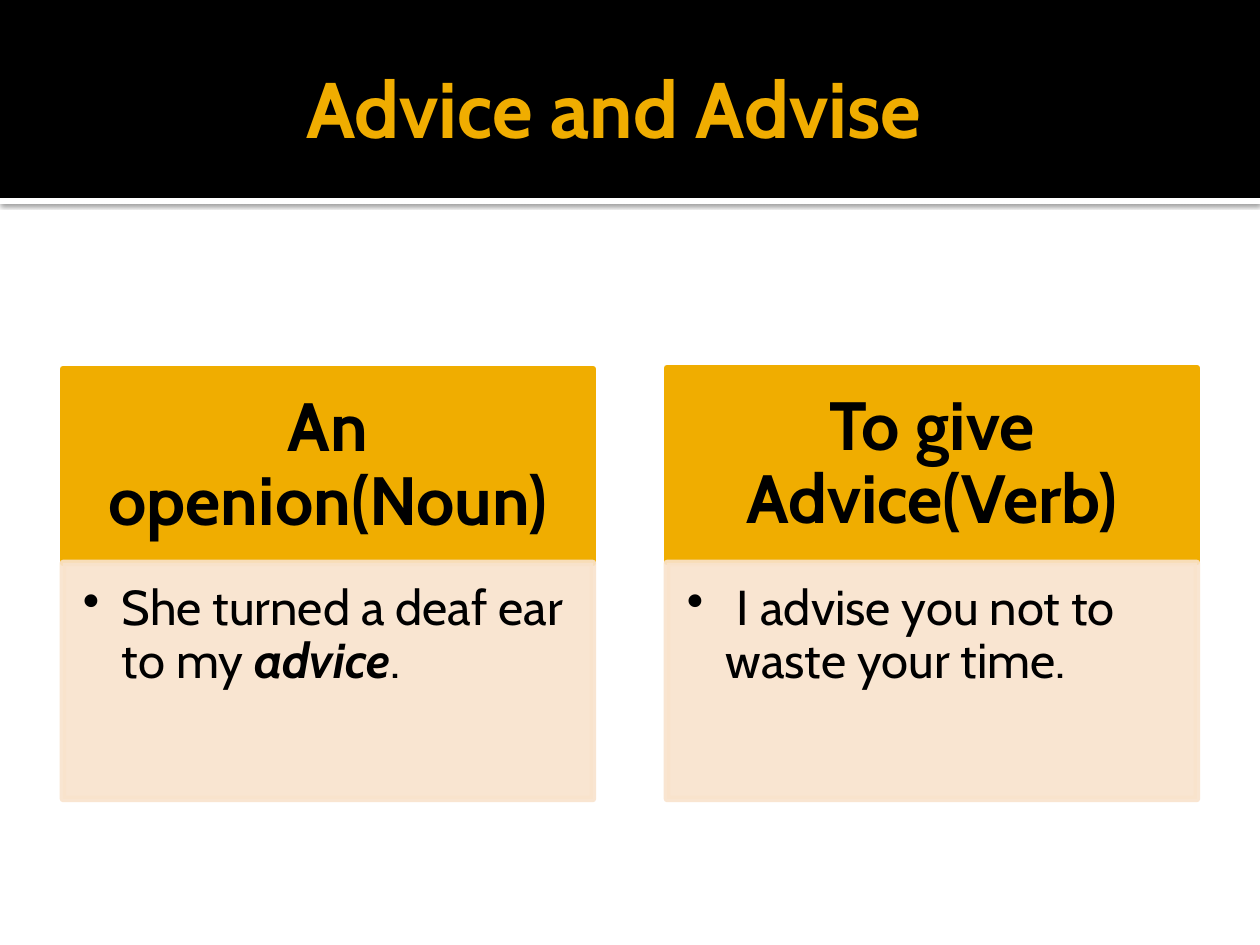
from lxml.etree import SubElement
from pptx import Presentation
from pptx.dml.color import RGBColor
from pptx.enum.shapes import MSO_SHAPE
from pptx.enum.text import MSO_ANCHOR, MSO_AUTO_SIZE, PP_ALIGN
from pptx.oxml.ns import qn
from pptx.util import Emu, Pt

COLORS = {"black": "000000", "white": "FFFFFF", "gold": "F0AD00", "cream": "F9E3CC"}
FONT = "Cabin"
TITLE = "Advice and Advise"
CARDS = [
    {"top": 369, "head": "An openion(Noun)",
     "body": [("She turned a deaf ear to my ", False), ("advice", True), (".", False)]},
    {"top": 368, "head": "To give Advice(Verb)",
     "body": [(" I advise you not to waste your time.", False)]},
]
PAGE_WIDTH, PAGE_HEIGHT = 1260, 945
MARGIN, CARD_WIDTH = 63, 530
HEAD_HEIGHT, BODY_TOP, BODY_HEIGHT = 194, 563, 236
BAND_HEIGHT, RULE_HEIGHT = 198, 6
BULLET_INDENT = 39


def px(value):
    return Emu(round(value * 914400 / 126))


def color(name):
    return RGBColor.from_string(COLORS[name])


def set_alpha(fill, percent):
    for tint in fill._xPr.iter(qn("a:srgbClr")):
        SubElement(tint, qn("a:alpha"), val=str(percent * 1000))


def add_box(page, left, top, width, height, fill, line=None, alpha=None):
    box = page.shapes.add_shape(MSO_SHAPE.RECTANGLE, px(left), px(top), px(width), px(height))
    box.shadow.inherit = False
    box.fill.solid()
    box.fill.fore_color.rgb = color(fill)
    if line:
        box.line.color.rgb = color(line)
        box.line.width = Pt(3.78)
        SubElement(box.line._get_or_add_ln(), qn("a:round"))
    else:
        box.line.fill.background()
    if alpha:
        set_alpha(box.fill, alpha)
    return box


def add_shadow(box):
    effects = box._element.spPr.find(qn("a:effectLst"))
    shadow = SubElement(effects, qn("a:outerShdw"), blurRad=str(Pt(2.5)),
                        dist=str(Pt(0.8)), dir="5400000", rotWithShape="0")
    tint = SubElement(shadow, qn("a:srgbClr"), val=COLORS["black"])
    SubElement(tint, qn("a:alpha"), val="60000")


def write(box, spans, size, tint="black", bold=False, align=PP_ALIGN.LEFT,
          anchor=MSO_ANCHOR.MIDDLE, insets=(0, 0, 0, 0), spacing=1.0, bullet=False):
    frame = box.text_frame
    frame.word_wrap = True
    frame.auto_size = MSO_AUTO_SIZE.NONE
    frame.vertical_anchor = anchor
    frame.margin_left, frame.margin_top, frame.margin_right, frame.margin_bottom = map(px, insets)
    para = frame.paragraphs[0]
    para.alignment = align
    para.line_spacing = spacing
    if bullet:
        properties = para._p.get_or_add_pPr()
        properties.set("marL", str(px(BULLET_INDENT)))
        properties.set("indent", str(-px(BULLET_INDENT)))
        SubElement(properties, qn("a:buChar"), char="•")
    for text, emphasis in spans:
        span = para.add_run()
        span.text = text
        span.font.name = FONT
        span.font.size = Pt(size)
        span.font.bold = bold or emphasis
        span.font.italic = emphasis
        span.font.color.rgb = color(tint)


def add_card(page, left, card):
    head = add_box(page, left, card["top"], CARD_WIDTH, HEAD_HEIGHT, "gold", line="gold")
    write(head, [(card["head"], False)], 39, bold=True, align=PP_ALIGN.CENTER,
          insets=(38, 21, 38, 21), spacing=0.9)
    body = add_box(page, left, BODY_TOP, CARD_WIDTH, BODY_HEIGHT, "cream", line="cream", alpha=90)
    set_alpha(body.line.fill, 90)
    write(body, card["body"], 28, anchor=MSO_ANCHOR.TOP,
          insets=(20, 20, 28, 30), spacing=0.9, bullet=True)


def main():
    deck = Presentation()
    deck.slide_width, deck.slide_height = px(PAGE_WIDTH), px(PAGE_HEIGHT)
    page = deck.slides.add_slide(deck.slide_layouts[5])
    page.background.fill.solid()
    page.background.fill.fore_color.rgb = color("white")

    add_shadow(add_box(page, 0, BAND_HEIGHT, PAGE_WIDTH, RULE_HEIGHT, "white"))
    add_box(page, 0, 0, PAGE_WIDTH, BAND_HEIGHT, "black")

    title = page.shapes.title
    title.left, title.top = px(MARGIN), px(21)
    title.width, title.height = px(PAGE_WIDTH - 2 * MARGIN), px(173)
    write(title, [(TITLE, False)], 45, tint="gold", bold=True, insets=(243, 6, 6, 6))
    page.shapes._spTree.append(title._element)

    for left, card in zip((MARGIN, PAGE_WIDTH - MARGIN - CARD_WIDTH), CARDS):
        add_card(page, left, card)
    deck.save("out.pptx")


if __name__ == "__main__":
    main()
